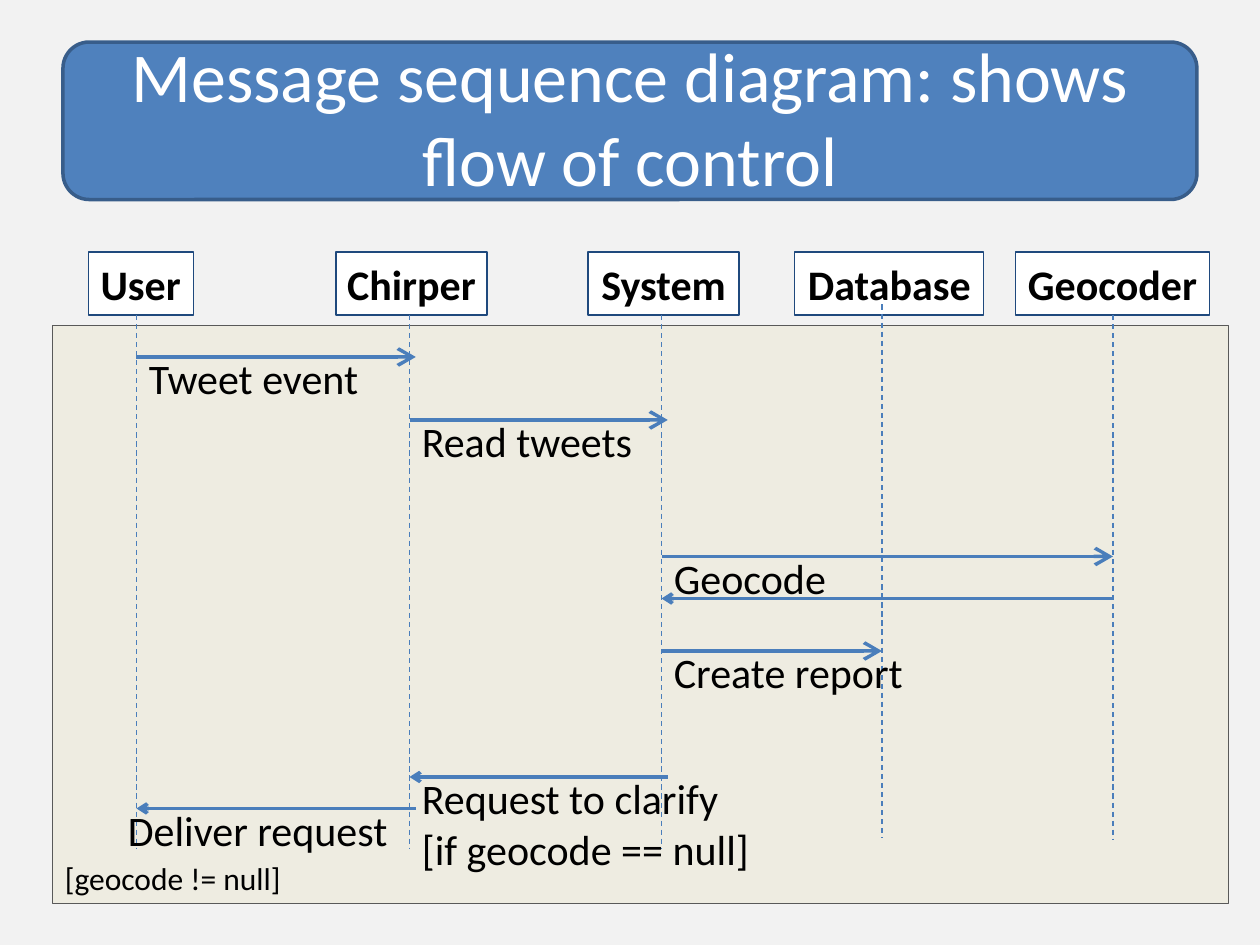
from lxml.etree import SubElement
from pptx import Presentation
from pptx.dml.color import RGBColor
from pptx.enum.dml import MSO_LINE
from pptx.enum.shapes import MSO_CONNECTOR, MSO_SHAPE
from pptx.enum.text import MSO_ANCHOR, PP_ALIGN
from pptx.oxml.ns import qn
from pptx.util import Inches, Pt

BACKGROUND = RGBColor(0xF2, 0xF2, 0xF2)
TITLE_FILL = RGBColor(0x4F, 0x81, 0xBD)
TITLE_LINE = RGBColor(0x38, 0x5D, 0x8A)
PANEL_FILL = RGBColor(0xEE, 0xEC, 0xE1)
PANEL_LINE = RGBColor(0x59, 0x59, 0x59)
HEAD_LINE = RGBColor(0x1F, 0x49, 0x7D)
ARROW = RGBColor(0x4A, 0x7E, 0xBB)
WHITE = RGBColor(0xFF, 0xFF, 0xFF)
BLACK = RGBColor(0x00, 0x00, 0x00)

WIDTH, HEIGHT = Inches(10), Inches(7.5)
COLUMNS, ROWS = 120, 90

PARTICIPANTS = [
    ("User", 8, 8.4, 10, 30, 80.8),
    ("Chirper", 34, 32, 14.4, 30, 80.8),
    ("System", 58, 56, 14.4, 30, 80.8),
    ("Database", 79, 75.7, 18, 29, 79.8),
    ("Geocoder", 101, 96.7, 18.5, 30, 80),
]
LIFELINES = {name: column for name, column, *_ in PARTICIPANTS}
MESSAGES = [
    ("User", "Chirper", 10, "Tweet event", 8, 26),
    ("Chirper", "System", 16, "Read tweets", 34, 24),
    ("System", "Geocoder", 29, "Geocode", 58, 26),
    ("Geocoder", "System", 33, None, 0, 0),
    ("System", "Database", 38, "Create report", 58, 35),
    ("System", "Chirper", 50, "Request to clarify\n[if geocode == null]", 34, 34),
    ("Chirper", "User", 53, "Deliver request", 6, 28),
]


def col(units):
    return round(WIDTH * units / COLUMNS)


def row(units):
    return round(HEIGHT * units / ROWS)


def place(box):
    left, top, width, height = box
    return col(left), row(top), col(width), row(height)


def write(frame, text, size=24, color=BLACK, bold=False,
          align=PP_ALIGN.LEFT, anchor=MSO_ANCHOR.TOP, wrap=True):
    frame.word_wrap = wrap
    frame.vertical_anchor = anchor
    paragraph = frame.paragraphs[0]
    paragraph.text = text
    paragraph.alignment = align
    for run in paragraph.runs:
        run.font.name = "Calibri"
        run.font.size = Pt(size)
        run.font.bold = bold
        run.font.color.rgb = color


def add_box(slide, box, fill, line, weight, kind=MSO_SHAPE.RECTANGLE):
    shape = slide.shapes.add_shape(kind, *place(box))
    shape.shadow.inherit = False
    shape.fill.solid()
    shape.fill.fore_color.rgb = fill
    shape.line.color.rgb = line
    shape.line.width = Pt(weight)
    return shape


def add_line(slide, start, end, weight):
    line = slide.shapes.add_connector(
        MSO_CONNECTOR.STRAIGHT, col(start[0]), row(start[1]), col(end[0]), row(end[1]))
    line.line.color.rgb = ARROW
    line.line.width = Pt(weight)
    SubElement(line._element.spPr, qn("a:effectLst"))
    return line


def draw_title(slide, box):
    left, top, width, height = box
    add_box(slide, box, TITLE_FILL, TITLE_LINE, 2, MSO_SHAPE.ROUNDED_RECTANGLE)
    title = slide.shapes.add_textbox(*place((left, top - 0.4, width, height)))
    write(title.text_frame, "Message sequence diagram: shows\nflow of control", size=40,
          color=WHITE, align=PP_ALIGN.CENTER, anchor=MSO_ANCHOR.MIDDLE)


def draw_panel(slide, box):
    panel = add_box(slide, box, PANEL_FILL, PANEL_LINE, 0.25)
    write(panel.text_frame, "[geocode != null]", size=18, anchor=MSO_ANCHOR.BOTTOM)


def draw_participants(slide, box):
    left, top, _, height = box
    for name, column, head_left, head_width, start, end in PARTICIPANTS:
        head = add_box(slide, (head_left + left - 5, top, head_width, height),
                       WHITE, HEAD_LINE, 0.75)
        write(head.text_frame, name, bold=True, align=PP_ALIGN.CENTER, wrap=False)
        lifeline = add_line(slide, (left + column, top + start - 24),
                            (left + column, top + end - 24), 0.75)
        lifeline.line.dash_style = MSO_LINE.DASH


def draw_messages(slide, box):
    left, top, _, _ = box
    for sender, receiver, level, label, label_left, label_width in MESSAGES:
        start, end = LIFELINES[sender], LIFELINES[receiver]
        overlap = 0.6 if {sender, receiver} <= {"User", "Chirper", "System"} else 0
        size = "lg" if start < end else "med"
        if start < end:
            end += overlap
        else:
            start += overlap
        arrow = add_line(slide, (left + start, top + level), (left + end, top + level), 2)
        SubElement(arrow.line._get_or_add_ln(), qn("a:tailEnd"),
                   type="arrow", w=size, len=size)
        if label:
            lines = label.count("\n") + 1
            caption = slide.shapes.add_textbox(
                *place((left + label_left, top + level - 1, label_width, 1.2 + 4.8 * lines)))
            write(caption.text_frame, label)


def main():
    deck = Presentation()
    deck.slide_width, deck.slide_height = WIDTH, HEIGHT
    slide = deck.slides.add_slide(deck.slide_layouts[6])
    slide.background.fill.solid()
    slide.background.fill.fore_color.rgb = BACKGROUND
    draw_title(slide, (6, 4, 108, 15))
    draw_panel(slide, (5, 31, 112, 55))
    draw_participants(slide, (5, 24, 112, 6))
    draw_messages(slide, (5, 24, 112, 62))
    deck.save("out.pptx")


if __name__ == "__main__":
    main()
